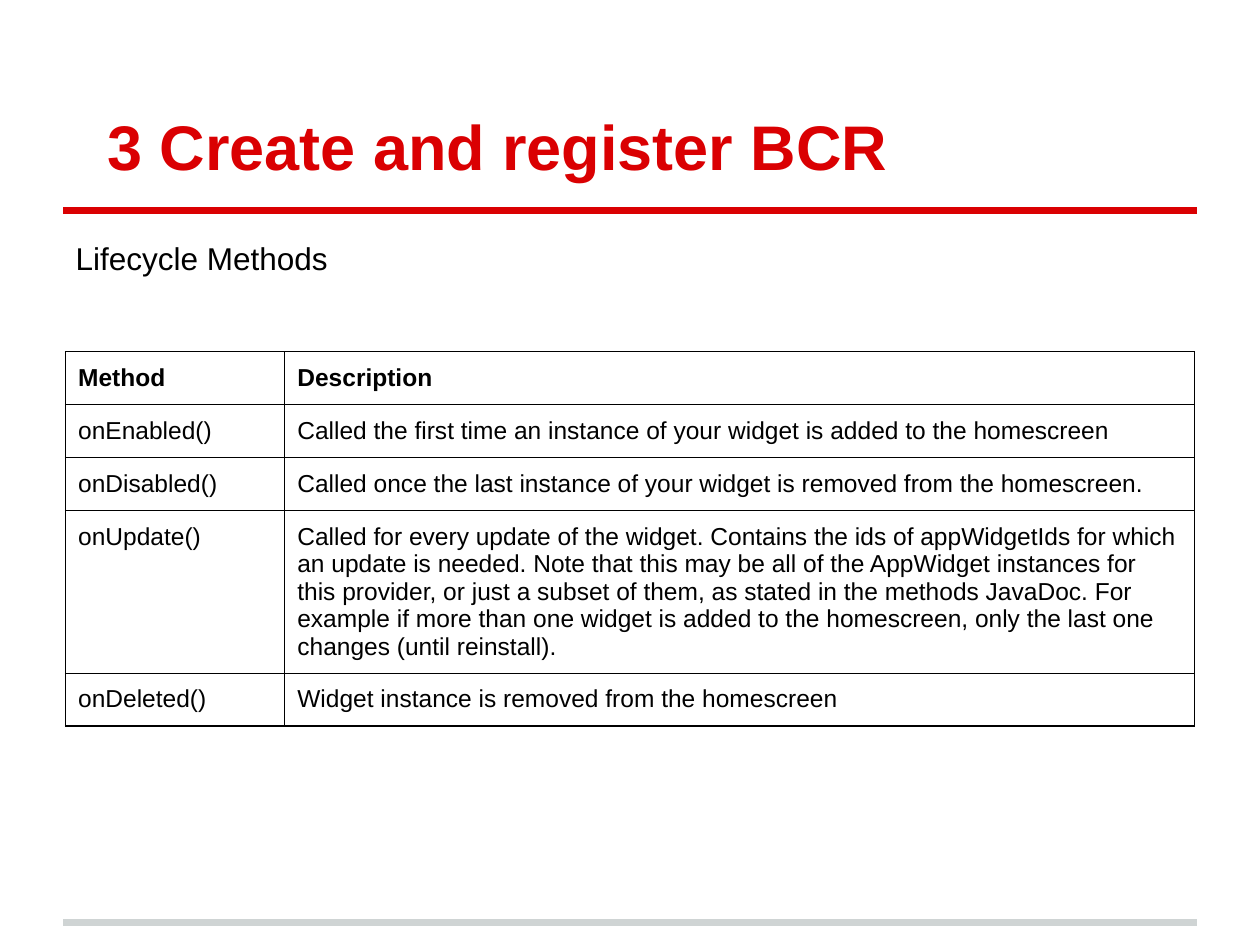
from lxml import etree
from pptx import Presentation
from pptx.dml.color import RGBColor
from pptx.enum import shapes, text
from pptx.oxml import ns
from pptx.util import Inches, Pt

COLORS = {"red": "DA0002", "gray": "CFD4D4", "black": "000000", "white": "FFFFFF"}
FONT = "Arial"
INSET = Inches(0.1)
METHODS = [
    ("Method", "Description"),
    ("onEnabled()", "Called the first time an instance of your widget is added to the homescreen"),
    ("onDisabled()", "Called once the last instance of your widget is removed from the homescreen."),
    ("onUpdate()", "Called for every update of the widget. Contains the ids of appWidgetIds for "
     "which an update is needed. Note that this may be all of the AppWidget instances for this "
     "provider, or just a subset of them, as stated in the methods JavaDoc. For example if more "
     "than one widget is added to the homescreen, only the last one changes (until reinstall)."),
    ("onDeleted()", "Widget instance is removed from the homescreen"),
]


def color(name):
    return RGBColor.from_string(COLORS[name])


def style(paragraph, size, color_name, bold=False):
    paragraph.alignment = text.PP_ALIGN.LEFT
    for run in paragraph.runs:
        run.font.name = FONT
        run.font.size = Pt(size)
        run.font.bold = bold
        run.font.color.rgb = color(color_name)


def indent(paragraph, margin, first):
    props = paragraph._p.get_or_add_pPr()
    props.set("marL", str(Inches(margin)))
    props.set("indent", str(Inches(first)))


def fill_placeholder(holder, box, words, anchor):
    holder.left, holder.top, holder.width, holder.height = map(Inches, box)
    frame = holder.text_frame
    frame.text = words
    frame.word_wrap = True
    frame.auto_size = text.MSO_AUTO_SIZE.NONE
    frame.vertical_anchor = anchor
    frame.margin_left = frame.margin_right = INSET
    frame.margin_top = frame.margin_bottom = INSET
    return frame.paragraphs[0]


def add_rule(slide, left, top, width, color_name):
    rule = slide.shapes.add_connector(
        shapes.MSO_CONNECTOR.STRAIGHT,
        Inches(left), Inches(top), Inches(left + width), Inches(top))
    rule.line.color.rgb = color(color_name)
    rule.line.width = Pt(4)
    etree.SubElement(rule._element.spPr, ns.qn("a:effectLst"))


def add_heading(slide, box):
    left, top, width, height = box
    heading = fill_placeholder(slide.shapes.title, box, "3 Create and register BCR",
                               text.MSO_ANCHOR.BOTTOM)
    style(heading, 36, "red", bold=True)
    indent(heading, 0, 0.25)
    add_rule(slide, left, top + height + 0.12, width, "red")


def add_topic(slide, box):
    topic = fill_placeholder(slide.placeholders[1], box, "Lifecycle Methods",
                             text.MSO_ANCHOR.TOP)
    style(topic, 18, "black")
    topic.line_spacing = 1.15
    topic.space_before = Pt(0)
    indent(topic, 0.38, -0.38)
    etree.SubElement(topic._p.get_or_add_pPr(), ns.qn("a:buNone"))


def border_cell(cell):
    props = cell._tc.get_or_add_tcPr()
    for position, side in enumerate(("lnL", "lnR", "lnT", "lnB")):
        edge = etree.Element(ns.qn("a:" + side), w=str(Pt(0.75)))
        solid = etree.SubElement(edge, ns.qn("a:solidFill"))
        etree.SubElement(solid, ns.qn("a:srgbClr"), val=COLORS["black"])
        props.insert(position, edge)


def add_methods_table(slide, box):
    left, top, width, row_height = map(Inches, box)
    methods = slide.shapes.add_table(len(METHODS), 2, left, top, width,
                                     row_height * len(METHODS)).table
    methods.horz_banding = False
    methods.columns[0].width = Inches(1.74)
    methods.columns[1].width = width - Inches(1.74)
    for row, entries in enumerate(METHODS):
        # The long description needs five lines
        methods.rows[row].height = Inches(1.29) if len(entries[1]) > 200 else row_height
        for column, words in enumerate(entries):
            cell = methods.cell(row, column)
            cell.text_frame.text = words
            cell.margin_left = cell.margin_right = INSET
            cell.margin_top = cell.margin_bottom = INSET
            cell.fill.background()
            style(cell.text_frame.paragraphs[0], 14, "black", bold=row == 0)
            border_cell(cell)


deck = Presentation()
deck.slide_width, deck.slide_height = Inches(10), Inches(7.5)
page = deck.slides.add_slide(deck.slide_layouts[1])
page.background.fill.solid()
page.background.fill.fore_color.rgb = color("white")

# Heading, topic and table
add_heading(page, (0.5, 0.3, 9, 1.25))
add_topic(page, (0.5, 1.75, 9, 5.43))
add_methods_table(page, (0.52, 2.79, 8.96, 0.42))

# Footer rule
add_rule(page, 0.5, 7.32, 9, "gray")

deck.save("out.pptx")
